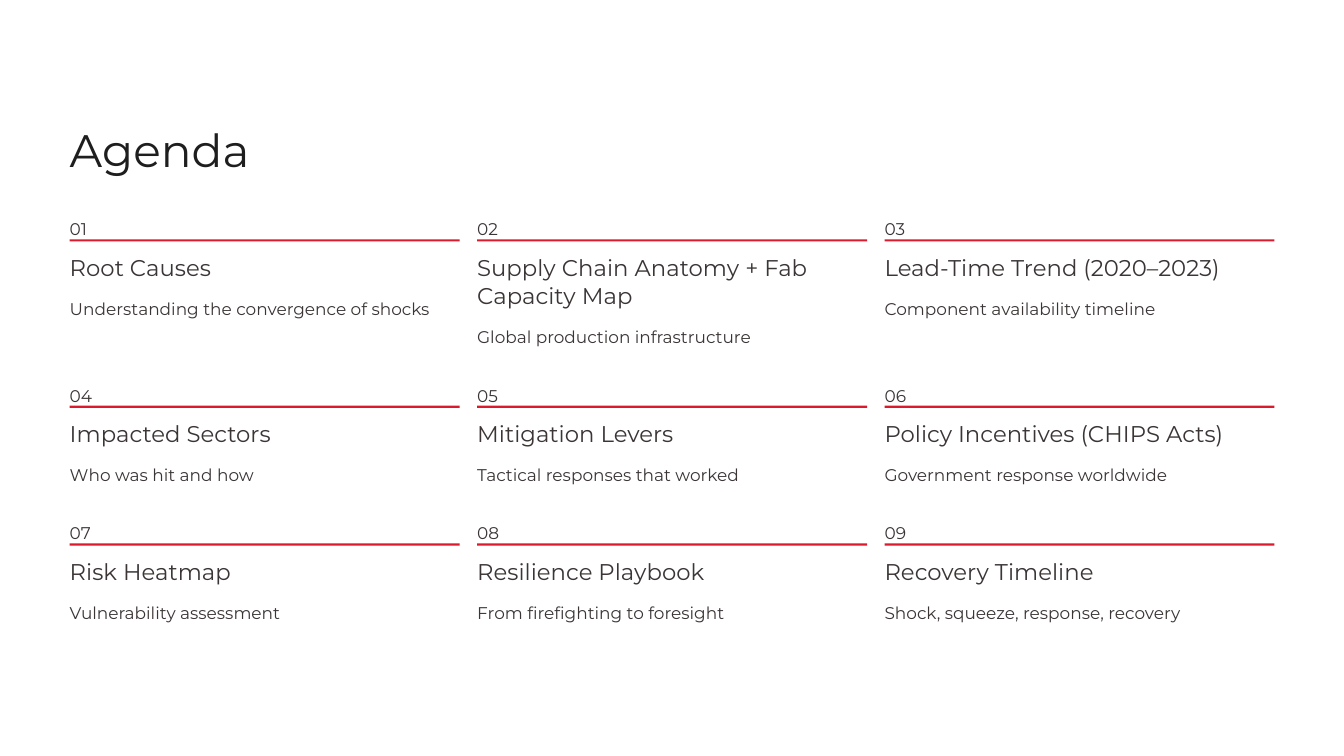
from pptx import Presentation
from pptx.dml.color import RGBColor as RGB
from pptx.enum.shapes import MSO_SHAPE as SHAPE
from pptx.util import Pt

COLORS = {"heading": "1F1E1E", "body": "3B3535", "rule": "DA1B2E"}
FONT = "Montserrat"
LEFT, TOP = 59.8, 181.4
COL_W, COL_PITCH = 334.2, 349.2
ROW_H, TITLE_LINE = 118.1, 24.5

ROWS = [
    [
        ("Root Causes", 196.5, 1, "Understanding the convergence of shocks"),
        ("Supply Chain Anatomy + Fab Capacity Map", COL_W, 2,
         "Global production infrastructure"),
        ("Lead-Time Trend (2020–2023)", 304, 1, "Component availability timeline"),
    ],
    [
        ("Impacted Sectors", 196.5, 1, "Who was hit and how"),
        ("Mitigation Levers", 196.5, 1, "Tactical responses that worked"),
        ("Policy Incentives (CHIPS Acts)", 304, 1, "Government response worldwide"),
    ],
    [
        ("Risk Heatmap", 196.5, 1, "Vulnerability assessment"),
        ("Resilience Playbook", 203, 1, "From firefighting to foresight"),
        ("Recovery Timeline", 196.5, 1, "Shock, squeeze, response, recovery"),
    ],
]


def add_text(s, text, x, y, w, h, size=14.5, spacing=23.5, color="body", wrap=False):
    tf = s.shapes.add_textbox(Pt(x), Pt(y), Pt(w), Pt(h)).text_frame
    tf.margin_left = tf.margin_right = tf.margin_top = tf.margin_bottom = 0
    tf.word_wrap = wrap
    p = tf.paragraphs[0]
    p.line_spacing = Pt(spacing)
    r = p.add_run()
    r.text = text
    r.font.name = FONT
    r.font.size = Pt(size)
    r.font.color.rgb = RGB.from_string(COLORS[color])


def add_rule(s, x, y):
    sp = s.shapes.add_shape(SHAPE.RECTANGLE, Pt(x), Pt(y), Pt(COL_W), Pt(1.9))
    sp.shadow.inherit = False
    sp.fill.solid()
    sp.fill.fore_color.rgb = RGB.from_string(COLORS["rule"])
    sp.line.fill.background()


def add_item(s, number, x, y, title, title_w, lines, detail):
    extra = (lines - 1) * TITLE_LINE
    add_text(s, f"{number:02}", x, y, 20, 18.75)
    add_rule(s, x, y + 23.7)
    add_text(s, title, x, y + 34.7, title_w, lines * TITLE_LINE,
             size=19.5, spacing=TITLE_LINE, wrap=lines > 1)
    add_text(s, detail, x, y + 68.2 + extra, COL_W, 23.5)


def main():
    prs = Presentation()
    prs.slide_width, prs.slide_height = Pt(1152), Pt(648)
    s = prs.slides.add_slide(prs.slide_layouts[6])
    add_text(s, "Agenda", LEFT, 102, 393, 49, size=39, spacing=49, color="heading")
    y, number = TOP, 1
    for row in ROWS:
        for col, item in enumerate(row):
            add_item(s, number, LEFT + col * COL_PITCH, y, *item)
            number += 1
        most_lines = max(lines for _, _, lines, _ in row)
        y += ROW_H + (most_lines - 1) * TITLE_LINE
    prs.save("out.pptx")


if __name__ == "__main__":
    main()
